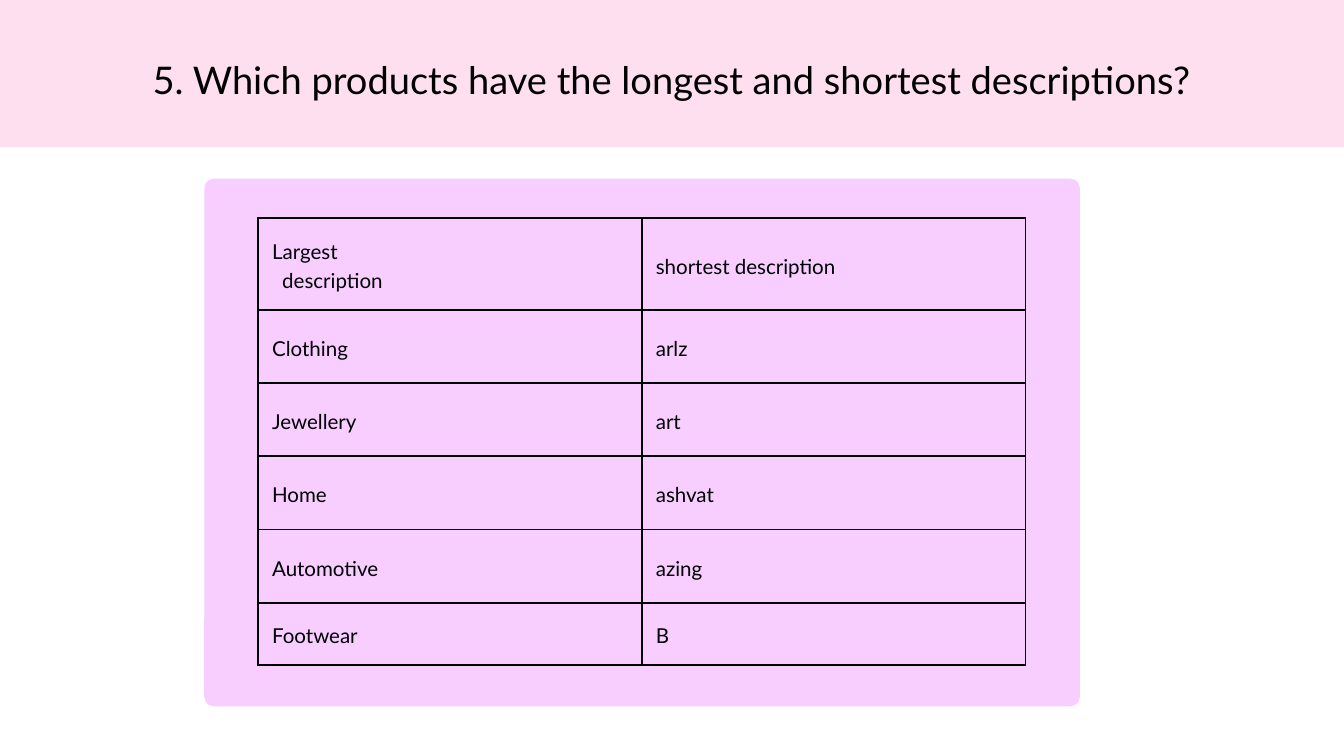
from lxml import etree
from pptx import Presentation
from pptx.dml.color import RGBColor
from pptx.enum.shapes import MSO_SHAPE
from pptx.enum.text import MSO_ANCHOR, PP_ALIGN
from pptx.oxml import parse_xml
from pptx.oxml.ns import nsdecls, qn
from pptx.util import Inches, Pt

COLORS = {"panel": "E144FF", "band": "FEC9E4", "ink": "000000"}
FONT = "Lato"
CELL_MARGIN = 0.21
BORDER_WIDTH = 2.25
ROW_HEIGHTS = [1.36, 1.09, 1.09, 1.09, 1.09, 0.93]
DESCRIPTIONS = [
    (["Largest", "description"], ["shortest description"]),
    (["Clothing"], ["arlz"]),
    (["Jewellery"], ["art"]),
    (["Home"], ["ashvat"]),
    (["Automotive"], ["azing"]),
    (["Footwear"], ["B"]),
]


def write_text(paragraph, text, size, spacing, align=PP_ALIGN.LEFT, indent=0):
    paragraph.alignment = align
    paragraph.line_spacing = Pt(spacing)
    if indent:
        paragraph._p.get_or_add_pPr().set("marL", str(Inches(indent)))
    run = paragraph.add_run()
    run.text = text
    run.font.name = FONT
    run.font.size = Pt(size)
    run.font.color.rgb = RGBColor.from_string(COLORS["ink"])


def add_tinted_box(slide, box, color, opacity, radius):
    left, top, width, height = box
    tinted = slide.shapes.add_shape(
        MSO_SHAPE.ROUNDED_RECTANGLE, *(Inches(length) for length in box))
    tinted.adjustments[0] = radius / min(width, height)
    tinted.shadow.inherit = False
    tinted.line.fill.background()
    tinted.fill.solid()
    tinted.fill.fore_color.rgb = RGBColor.from_string(color)
    srgb = tinted._element.spPr.find(".//" + qn("a:srgbClr"))
    etree.SubElement(srgb, qn("a:alpha"), val=str(opacity * 1000))


def set_borders(cell):
    properties = cell._tc.get_or_add_tcPr()
    for position, side in enumerate(("lnL", "lnR", "lnT", "lnB")):
        properties.insert(position, parse_xml(
            f'<a:{side} {nsdecls("a")} w="{Pt(BORDER_WIDTH)}"><a:solidFill>'
            f'<a:srgbClr val="{COLORS["ink"]}"/></a:solidFill></a:{side}>'))


def fill_cell(cell, lines):
    cell.fill.background()
    set_borders(cell)
    cell.vertical_anchor = MSO_ANCHOR.MIDDLE
    cell.margin_left = cell.margin_right = Inches(CELL_MARGIN)
    cell.margin_top = cell.margin_bottom = Inches(CELL_MARGIN)
    frame = cell.text_frame
    for number, line in enumerate(lines):
        paragraph = frame.add_paragraph() if number else frame.paragraphs[0]
        write_text(paragraph, line, size=22, spacing=30.8,
                   indent=0.15 if number else 0)


def add_description_table(slide, box):
    table = slide.shapes.add_table(
        len(DESCRIPTIONS), 2, *(Inches(length) for length in box)).table
    table.first_row = table.horz_banding = False
    for column in table.columns:
        column.width = Inches(box[2] / 2)
    for row, height, entries in zip(table.rows, ROW_HEIGHTS, DESCRIPTIONS):
        row.height = Inches(height)
        for cell, lines in zip(row.cells, entries):
            fill_cell(cell, lines)


def add_title(slide, box):
    title = slide.shapes.add_textbox(*(Inches(length) for length in box))
    frame = title.text_frame
    frame.word_wrap = True
    frame.margin_left = frame.margin_right = 0
    frame.margin_top = frame.margin_bottom = 0
    write_text(frame.paragraphs[0],
               "5. Which products have the longest and shortest descriptions?",
               size=40.8, spacing=57.1, align=PP_ALIGN.CENTER)


def main():
    deck = Presentation()
    deck.slide_width, deck.slide_height = Inches(20), Inches(11.25)
    slide = deck.slides.add_slide(deck.slide_layouts[6])
    add_tinted_box(slide, (3.04, 2.66, 13.03, 7.85), COLORS["panel"],
                   opacity=26, radius=0.14)
    add_tinted_box(slide, (-1.43, -0.16, 23.19, 2.35), COLORS["band"],
                   opacity=58, radius=0.05)
    add_description_table(slide, (3.84, 3.25, 11.42, sum(ROW_HEIGHTS)))
    add_title(slide, (1.38, 0.73, 17.23, 0.77))
    deck.save("out.pptx")


if __name__ == "__main__":
    main()
